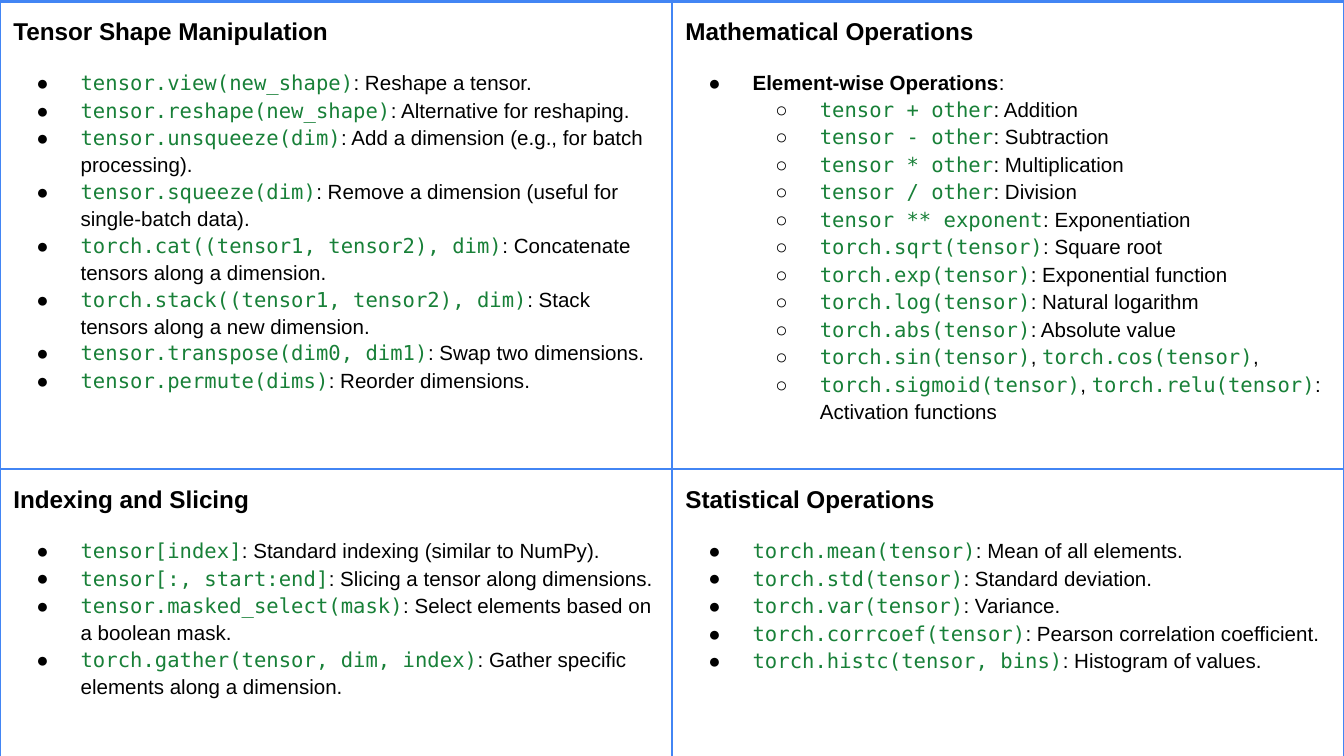
from dataclasses import dataclass

from lxml import etree
from pptx import Presentation
from pptx.dml.color import RGBColor
from pptx.oxml.ns import qn
from pptx.util import Inches, Pt

SLIDE_WIDTH = Inches(10)
SLIDE_HEIGHT = SLIDE_WIDTH * 9 // 16
TABLE_TOP = Inches(0.01)
COLUMN_WIDTHS = (SLIDE_WIDTH // 2,) * 2
ROW_HEIGHTS = (Inches(3.48), Inches(2.15))
CELL_MARGIN = Inches(0.1)
INDENT_STEP = Inches(0.5)
HANGING = Inches(0.33)
BULLETS = ("●", "○")


@dataclass(frozen=True)
class Theme:
    text_font: str = "Arial"
    code_font: str = "DejaVu Sans Mono"
    text_color: str = "000000"
    code_color: str = "188038"
    border_color: str = "4285F4"
    border_width: float = 1.5
    title_size: int = 13
    body_size: int = 11
    title_space: int = 14
    list_space: int = 12
    line_spacing: float = 1.15


THEME = Theme()


def code(text):
    return text, "code"


def plain(text):
    return text, "plain"


def strong(text):
    return text, "strong"


def entry(call, meaning, level=0):
    """Describe a list item: a piece of code, then what it does."""
    return level, [code(call), plain(f": {meaning}")]


SECTIONS = [
    [
        ("Tensor Shape Manipulation", [
            entry("tensor.view(new_shape)", "Reshape a tensor."),
            entry("tensor.reshape(new_shape)", "Alternative for reshaping."),
            entry("tensor.unsqueeze(dim)", "Add a dimension (e.g., for batch processing)."),
            entry("tensor.squeeze(dim)", "Remove a dimension (useful for single-batch data)."),
            entry("torch.cat((tensor1, tensor2), dim)", "Concatenate tensors along a dimension."),
            entry("torch.stack((tensor1, tensor2), dim)", "Stack tensors along a new dimension."),
            entry("tensor.transpose(dim0, dim1)", "Swap two dimensions."),
            entry("tensor.permute(dims)", "Reorder dimensions."),
        ]),
        ("Mathematical Operations", [
            (0, [strong("Element-wise Operations"), plain(":")]),
            entry("tensor + other", "Addition", 1),
            entry("tensor - other", "Subtraction", 1),
            entry("tensor * other", "Multiplication", 1),
            entry("tensor / other", "Division", 1),
            entry("tensor ** exponent", "Exponentiation", 1),
            entry("torch.sqrt(tensor)", "Square root", 1),
            entry("torch.exp(tensor)", "Exponential function", 1),
            entry("torch.log(tensor)", "Natural logarithm", 1),
            entry("torch.abs(tensor)", "Absolute value", 1),
            (1, [code("torch.sin(tensor)"), plain(", "),
                 code("torch.cos(tensor)"), plain(",")]),
            (1, [code("torch.sigmoid(tensor)"), plain(", "),
                 code("torch.relu(tensor)"), plain(": Activation functions")]),
        ]),
    ],
    [
        ("Indexing and Slicing", [
            entry("tensor[index]", "Standard indexing (similar to NumPy)."),
            entry("tensor[:, start:end]", "Slicing a tensor along dimensions."),
            entry("tensor.masked_select(mask)", "Select elements based on a boolean mask."),
            entry("torch.gather(tensor, dim, index)", "Gather specific elements along a dimension."),
        ]),
        ("Statistical Operations", [
            entry("torch.mean(tensor)", "Mean of all elements."),
            entry("torch.std(tensor)", "Standard deviation."),
            entry("torch.var(tensor)", "Variance."),
            entry("torch.corrcoef(tensor)", "Pearson correlation coefficient."),
            entry("torch.histc(tensor, bins)", "Histogram of values."),
        ]),
    ],
]


def add_run(paragraph, text, style, size):
    is_code = style == "code"
    run = paragraph.add_run()
    run.text = text
    run.font.name = THEME.code_font if is_code else THEME.text_font
    run.font.size = Pt(size)
    run.font.bold = style == "strong"
    color = THEME.code_color if is_code else THEME.text_color
    run.font.color.rgb = RGBColor.from_string(color)


def set_spacing(paragraph, before):
    paragraph.line_spacing = THEME.line_spacing
    paragraph.space_before = Pt(before)
    paragraph.space_after = Pt(0)


def set_bullet(paragraph, level):
    paragraph.level = level
    properties = paragraph._p.get_or_add_pPr()
    properties.set("marL", str(INDENT_STEP * (level + 1)))
    properties.set("indent", str(-HANGING))
    color = etree.SubElement(properties, qn("a:buClr"))
    etree.SubElement(color, qn("a:srgbClr"), val=THEME.text_color)
    etree.SubElement(properties, qn("a:buFont"), typeface=THEME.text_font)
    etree.SubElement(properties, qn("a:buChar"), char=BULLETS[level])


def style_cell(cell):
    cell.margin_left = cell.margin_right = CELL_MARGIN
    cell.margin_top = cell.margin_bottom = CELL_MARGIN
    properties = cell._tc.get_or_add_tcPr()
    for side in ("lnL", "lnR", "lnT", "lnB"):
        line = etree.SubElement(properties, qn(f"a:{side}"), w=str(Pt(THEME.border_width)))
        fill = etree.SubElement(line, qn("a:solidFill"))
        etree.SubElement(fill, qn("a:srgbClr"), val=THEME.border_color)
    cell.fill.background()


def fill_cell(cell, title, items):
    style_cell(cell)
    heading = cell.text_frame.paragraphs[0]
    set_spacing(heading, THEME.title_space)
    add_run(heading, title, "strong", THEME.title_size)
    for index, (level, runs) in enumerate(items):
        paragraph = cell.text_frame.add_paragraph()
        set_spacing(paragraph, 0 if index else THEME.list_space)
        set_bullet(paragraph, level)
        for text, style in runs:
            add_run(paragraph, text, style, THEME.body_size)


def add_section_table(slide):
    table = slide.shapes.add_table(
        len(ROW_HEIGHTS), len(COLUMN_WIDTHS),
        0, TABLE_TOP, sum(COLUMN_WIDTHS), sum(ROW_HEIGHTS),
    ).table
    table.first_row = False
    table.horz_banding = False
    for column, width in zip(table.columns, COLUMN_WIDTHS):
        column.width = width
    for row, height, sections in zip(table.rows, ROW_HEIGHTS, SECTIONS):
        row.height = height
        for cell, (title, items) in zip(row.cells, sections):
            fill_cell(cell, title, items)


def main():
    presentation = Presentation()
    presentation.slide_width = SLIDE_WIDTH
    presentation.slide_height = SLIDE_HEIGHT
    slide = presentation.slides.add_slide(presentation.slide_layouts[6])
    add_section_table(slide)
    presentation.save("out.pptx")


if __name__ == "__main__":
    main()
